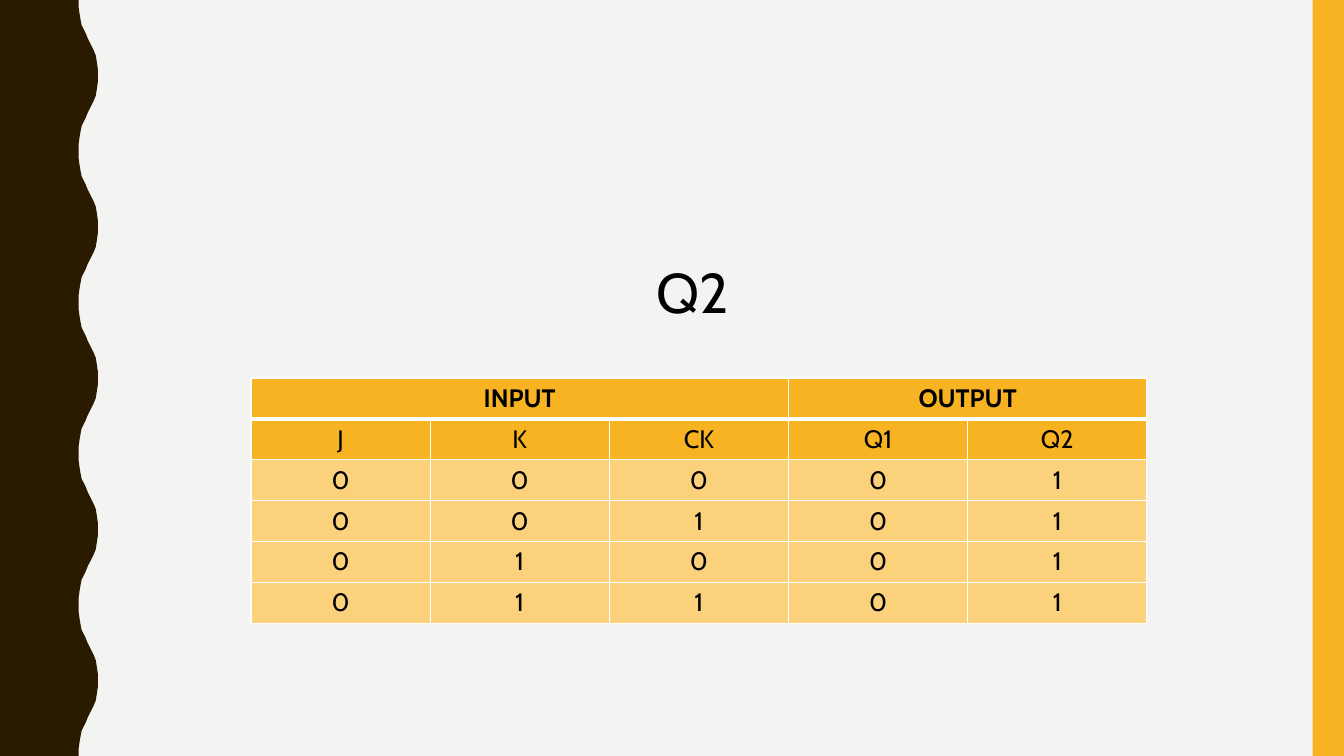
"""Build the Q2 flip-flop truth table slide."""
from dataclasses import dataclass
from itertools import product

from lxml.etree import SubElement as Sub
from pptx import Presentation
from pptx.dml.color import RGBColor as Color
from pptx.enum.shapes import MSO_SHAPE as Kind
from pptx.enum.text import MSO_ANCHOR as Anchor, MSO_AUTO_SIZE as Auto, PP_ALIGN as Align
from pptx.oxml.ns import qn
from pptx.util import Inches, Pt


@dataclass(frozen=True)
class Theme:
    """Colours, type sizes and line widths."""
    back: str = "F3F3F2"
    wave: str = "2A1A00"
    gold: str = "F8B323"
    pale: str = "FBD17B"
    ink: str = "000000"
    rule: str = "FFFFFF"
    face: str = "Cabin"
    head: int = 40
    body: int = 18
    thin: int = 1
    thick: int = 3


@dataclass(frozen=True)
class Box:
    """Place in percent of the slide's width and height."""
    left: float
    top: float
    wide: float
    high: float

    def area(self) -> tuple[int, ...]:
        """Give left, top, width and height in EMU."""
        return (int(WIDE * self.left / 100), int(HIGH * self.top / 100),
                int(WIDE * self.wide / 100), int(HIGH * self.high / 100))


@dataclass(frozen=True)
class Group:
    """Header that spans neighbouring columns."""
    name: str
    first: int
    last: int


THEME = Theme()
WIDE, HIGH = Inches(13.33), Inches(7.5)
BAR = Box(97.66, 0, 2.34, 100)
TITLE = Box(48.09, 33.47, 7.95, 10.27)
GRID = Box(18.67, 50, 66.67, 32.4)
GROUPS = [Group("INPUT", 0, 2), Group("OUTPUT", 3, 4)]
NAMES = ["J", "K", "CK", "Q1", "Q2"]
STATES = [["0", k, ck, "0", "1"] for k, ck in product("01", repeat=2)]
WAVES = 5
UNIT = HIGH / 750
CURVE = [(78, 0), (78, 7), (79, 14), (80, 20), (81, 25), (83, 29), (85, 33), (87, 38),
         (89, 42), (91, 46), (93, 50), (95, 55), (96, 61), (97, 68), (97, 75)]


def paint(item, tone: str) -> None:
    """Fill a shape, cell or background with one colour."""
    item.fill.solid()
    item.fill.fore_color.rgb = Color.from_string(tone)


def plain(shape, tone: str) -> None:
    """Give a shape a flat fill with no line or shadow."""
    paint(shape, tone)
    shape.line.fill.background()
    shape.shadow.inherit = False


def write(para, text: str, size: int, bold: bool = False) -> None:
    """Write one run in the theme's face."""
    run = para.add_run()
    run.text = text
    look = {"name": THEME.face, "size": Pt(size), "bold": bold}
    for key, value in look.items():
        setattr(run.font, key, value)
    run.font.color.rgb = Color.from_string(THEME.ink)


def wave(slide) -> None:
    """Draw the wavy band from one half curve and its mirror."""
    cycle = CURVE + [(x, 150 - y) for x, y in CURVE[-2::-1]]
    edge = [(x, y + 150 * n) for n in range(WAVES) for x, y in cycle[1:]]
    pen = slide.shapes.build_freeform(0, 0, UNIT)
    pen.add_line_segments([CURVE[0], *edge, (0, 750)], close=True)
    plain(pen.convert_to_shape(), THEME.wave)


def border(cell, sides: dict[str, int]) -> None:
    """Draw the four borders of a cell ahead of its fill."""
    props = cell._tc.get_or_add_tcPr()
    for spot, (side, size) in enumerate(sides.items()):
        line = Sub(props, qn(f"a:ln{side}"), w=str(Pt(size)))
        Sub(Sub(line, qn("a:solidFill")), qn("a:srgbClr"), val=THEME.rule)
        props.insert(spot, line)


def grid(slide) -> None:
    """Draw the truth table."""
    heads = [""] * len(NAMES)
    for group in GROUPS:
        heads[group.first] = group.name
    rows = [heads, NAMES, *STATES]
    left, top, wide, high = GRID.area()
    table = slide.shapes.add_table(len(rows), len(NAMES), left, top, wide, high).table
    for col in table.columns:
        col.width = wide // len(NAMES)
    for row in table.rows:
        row.height = high // len(rows)
    for r, texts in enumerate(rows):
        sides = dict.fromkeys("LRTB", THEME.thin)
        if r < 2:
            sides["TB"[1 - r]] = THEME.thick
        for c, text in enumerate(texts):
            cell = table.cell(r, c)
            paint(cell, THEME.gold if r < 2 else THEME.pale)
            border(cell, sides)
            if text:
                para = cell.text_frame.paragraphs[0]
                para.alignment = Align.CENTER
                write(para, text, THEME.body, r == 0)
    for group in GROUPS:
        table.cell(0, group.first).merge(table.cell(0, group.last))


def title(slide) -> None:
    """Write the heading above the table."""
    frame = slide.shapes.add_textbox(*TITLE.area()).text_frame
    look = {"word_wrap": True, "auto_size": Auto.SHAPE_TO_FIT_TEXT,
            "vertical_anchor": Anchor.TOP}
    for key, value in look.items():
        setattr(frame, key, value)
    write(frame.paragraphs[0], "Q2", THEME.head)


def main() -> None:
    """Build and save the slide."""
    deck = Presentation()
    deck.slide_width, deck.slide_height = WIDE, HIGH
    slide = deck.slides.add_slide(deck.slide_layouts[6])
    paint(slide.background, THEME.back)
    wave(slide)
    plain(slide.shapes.add_shape(Kind.RECTANGLE, *BAR.area()), THEME.gold)
    grid(slide)
    title(slide)
    deck.save("out.pptx")


main()
